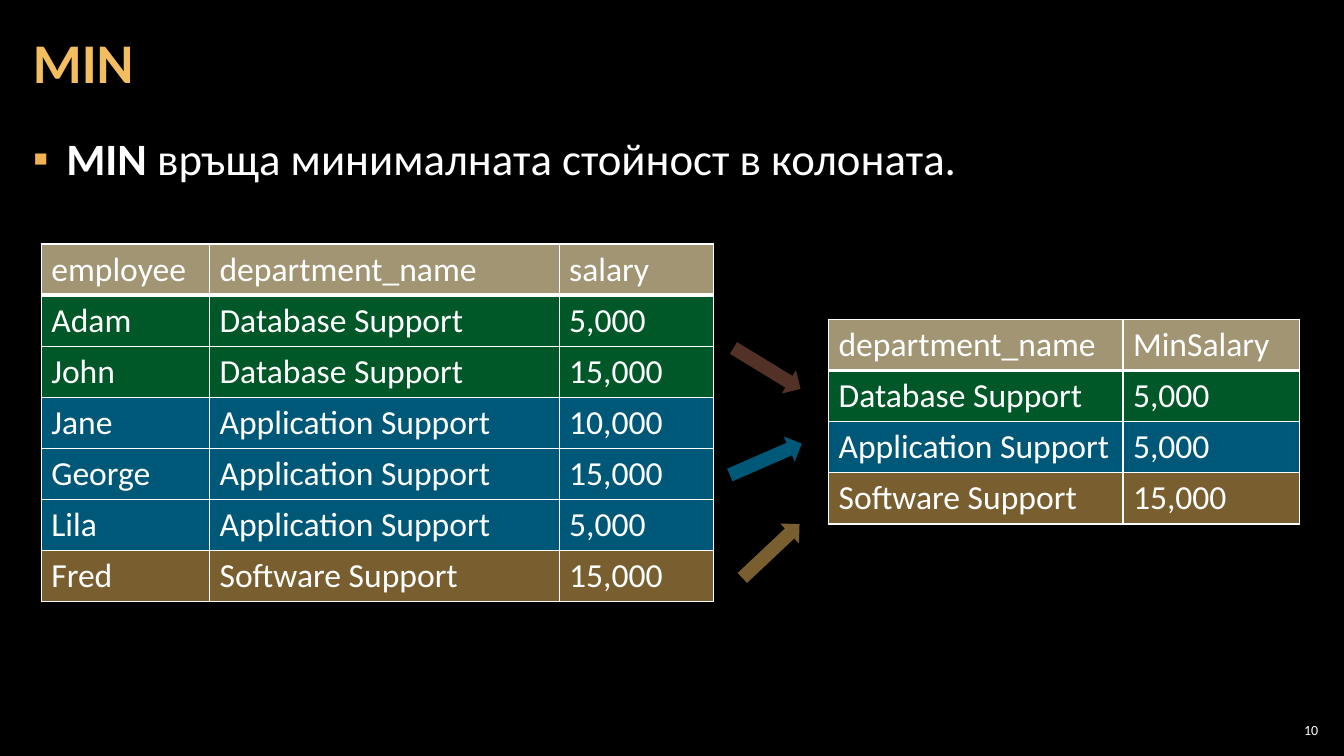
from dataclasses import dataclass

from lxml.etree import SubElement
from pptx import Presentation
from pptx.dml.color import RGBColor
from pptx.enum.shapes import MSO_SHAPE
from pptx.enum.text import MSO_ANCHOR, MSO_AUTO_SIZE, PP_ALIGN
from pptx.oxml.ns import qn
from pptx.util import Cm, Pt


@dataclass(frozen=True)
class Theme:
    font: str = "Calibri"
    back: str = "000000"
    text: str = "FFFFFF"
    gold: str = "F3BE60"
    bullet: str = "F2B254"
    head: str = "A19574"
    green: str = "00B050"
    blue: str = "00B0F0"
    brown: str = "A5644E"
    title: int = 40
    body: int = 32
    cell: int = 24
    page: int = 10


@dataclass(frozen=True)
class Grid:
    left: float
    top: float
    widths: tuple[float, ...]
    key: int
    rows: tuple[tuple[str, ...], ...]


@dataclass(frozen=True)
class Arrow:
    left: float
    top: float
    angle: float
    color: str


THEME = Theme()
ROW = 1.27
DATA, APPS, SOFT = "Database Support", "Application Support", "Software Support"
TINTS = {DATA: THEME.green, APPS: THEME.blue, SOFT: THEME.gold}

GRIDS = (
    Grid(1.04, 6.15, (4.24, 8.81, 3.89), 1, (
        ("employee", "department_name", "salary"),
        ("Adam", DATA, "5,000"),
        ("John", DATA, "15,000"),
        ("Jane", APPS, "10,000"),
        ("George", APPS, "15,000"),
        ("Lila", APPS, "5,000"),
        ("Fred", SOFT, "15,000"),
    )),
    Grid(20.88, 8.05, (7.42, 4.45), 0, (
        ("department_name", "MinSalary"),
        (DATA, "5,000"),
        (APPS, "5,000"),
        (SOFT, "15,000"),
    )),
)

ARROWS = (
    Arrow(18.34, 8.94, 31.4, THEME.brown),
    Arrow(18.31, 11.23, 336.4, THEME.blue),
    Arrow(18.44, 13.54, 316.7, THEME.gold),
)


def write(para, text: str, *, size: int, color: str = THEME.text,
          bold: bool = False, align=PP_ALIGN.LEFT) -> None:
    para.alignment = align
    run = para.add_run()
    run.text = text
    run.font.name = THEME.font
    run.font.size = Pt(size)
    run.font.bold = bold
    run.font.color.rgb = RGBColor.from_string(color)


def place(shape, left: float, top: float, width: float, height: float) -> None:
    shape.left, shape.top = Cm(left), Cm(top)
    shape.width, shape.height = Cm(width), Cm(height)


def frame(shape, anchor, side: float):
    box = shape.text_frame
    box.word_wrap = True
    box.auto_size = MSO_AUTO_SIZE.NONE
    box.vertical_anchor = anchor
    box.margin_left = box.margin_right = Cm(side)
    box.margin_top = box.margin_bottom = Cm(0.1)
    return box.paragraphs[0]


def paint(fill, props, color: str, clear: bool = True) -> None:
    fill.solid()
    fill.fore_color.rgb = RGBColor.from_string(color)
    if clear:
        tint = props.find(qn("a:solidFill")).find(qn("a:srgbClr"))
        SubElement(tint, qn("a:alpha"), val="50000")


def edge(props, head: bool) -> None:
    for side in ("L", "R", "T", "B"):
        width = Pt(3) if head and side == "B" else Pt(1)
        line = SubElement(props, qn(f"a:ln{side}"), w=str(width))
        fill = SubElement(line, qn("a:solidFill"))
        SubElement(fill, qn("a:srgbClr"), val=THEME.text)


def draw_grid(slide, grid: Grid) -> None:
    table = slide.shapes.add_table(
        len(grid.rows), len(grid.widths), Cm(grid.left), Cm(grid.top),
        Cm(sum(grid.widths)), Cm(ROW * len(grid.rows))).table
    table.horz_banding = False
    for column, width in zip(table.columns, grid.widths):
        column.width = Cm(width)
    for r, row in enumerate(grid.rows):
        head = r == 0
        color = THEME.head if head else TINTS[row[grid.key]]
        for c, text in enumerate(row):
            cell = table.cell(r, c)
            props = cell._tc.get_or_add_tcPr()
            edge(props, head)
            paint(cell.fill, props, color, clear=not head)
            write(cell.text_frame.paragraphs[0], text, size=THEME.cell)


def draw_arrow(slide, arrow: Arrow) -> None:
    shape = slide.shapes.add_shape(
        MSO_SHAPE.RIGHT_ARROW, Cm(arrow.left), Cm(arrow.top), Cm(1.98), Cm(0.69))
    shape.rotation = arrow.angle
    shape.shadow.inherit = False
    shape.line.fill.background()
    paint(shape.fill, shape._element.spPr, arrow.color)


def draw_title(slide) -> None:
    title = slide.shapes.title
    place(title, 0.53, 0.1, 26.59, 3.07)
    para = frame(title, MSO_ANCHOR.MIDDLE, 0.3)
    para.line_spacing = 0.9
    write(para, "MIN", size=THEME.title, color=THEME.gold, bold=True)


def draw_list(slide) -> None:
    body = slide.placeholders[1]
    place(body, 0.53, 3.2, 32.79, 15.47)
    para = frame(body, MSO_ANCHOR.TOP, 0.3)
    para.space_before = para.space_after = Pt(6)
    write(para, "MIN ", size=THEME.body, bold=True)
    write(para, "връща минималната стойност в колоната.", size=THEME.body)
    props = para._p.get_or_add_pPr()
    props.set("marL", str(Cm(0.84)))
    props.set("indent", str(-Cm(0.84)))
    color = SubElement(props, qn("a:buClr"))
    SubElement(color, qn("a:srgbClr"), val=THEME.bullet)
    SubElement(props, qn("a:buChar"), char="▪")


def draw_page(slide) -> None:
    box = slide.shapes.add_textbox(Cm(32.13), Cm(18.14), Cm(1.19), Cm(0.53))
    para = frame(box, MSO_ANCHOR.MIDDLE, 0.1)
    write(para, "10", size=THEME.page, align=PP_ALIGN.RIGHT)


def main() -> None:
    deck = Presentation()
    deck.slide_width, deck.slide_height = Cm(33.87), Cm(19.05)
    slide = deck.slides.add_slide(deck.slide_layouts[1])
    back = slide.background.fill
    back.solid()
    back.fore_color.rgb = RGBColor.from_string(THEME.back)
    draw_title(slide)
    draw_list(slide)
    for grid in GRIDS:
        draw_grid(slide, grid)
    for arrow in ARROWS:
        draw_arrow(slide, arrow)
    draw_page(slide)
    deck.save("out.pptx")


if __name__ == "__main__":
    main()
